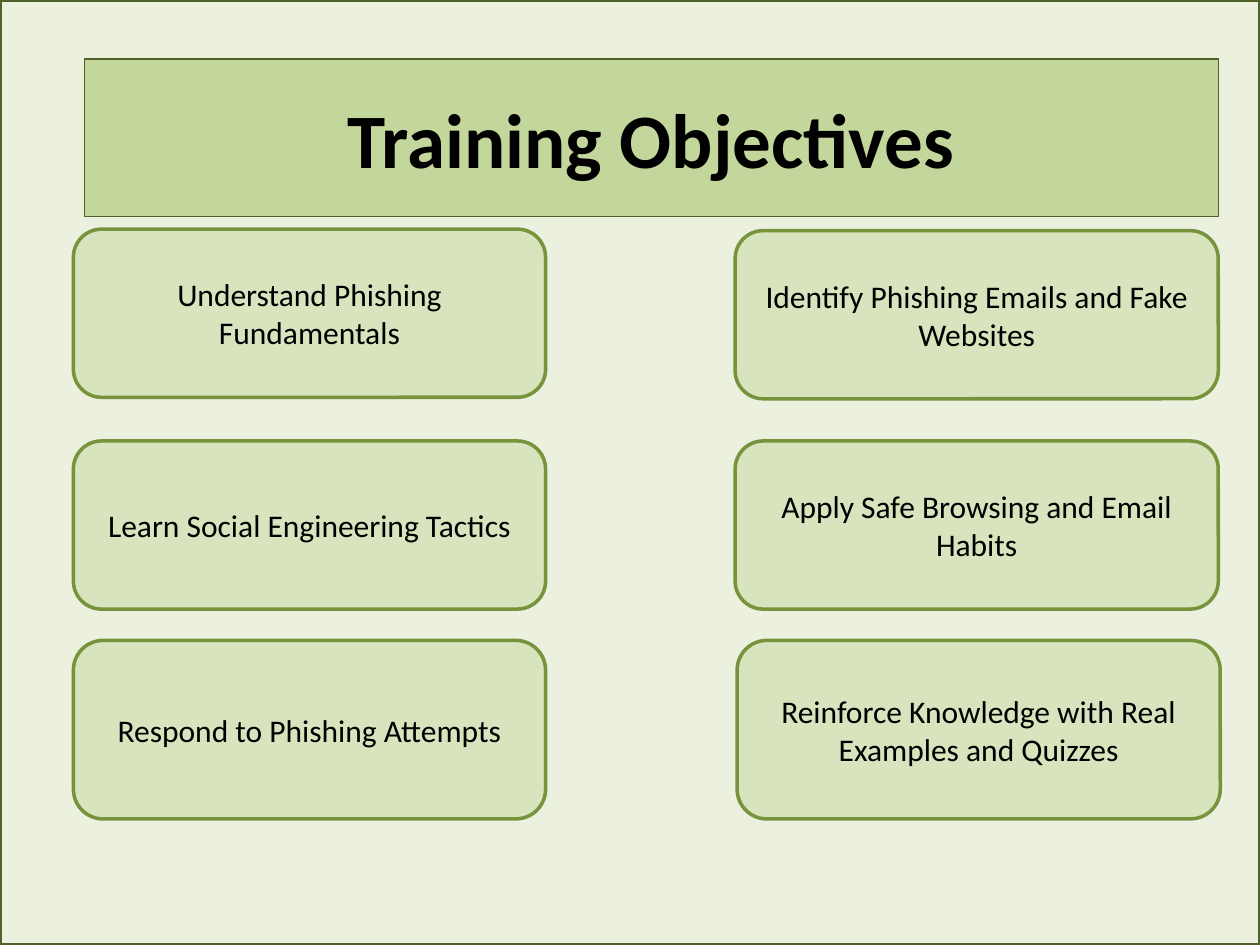
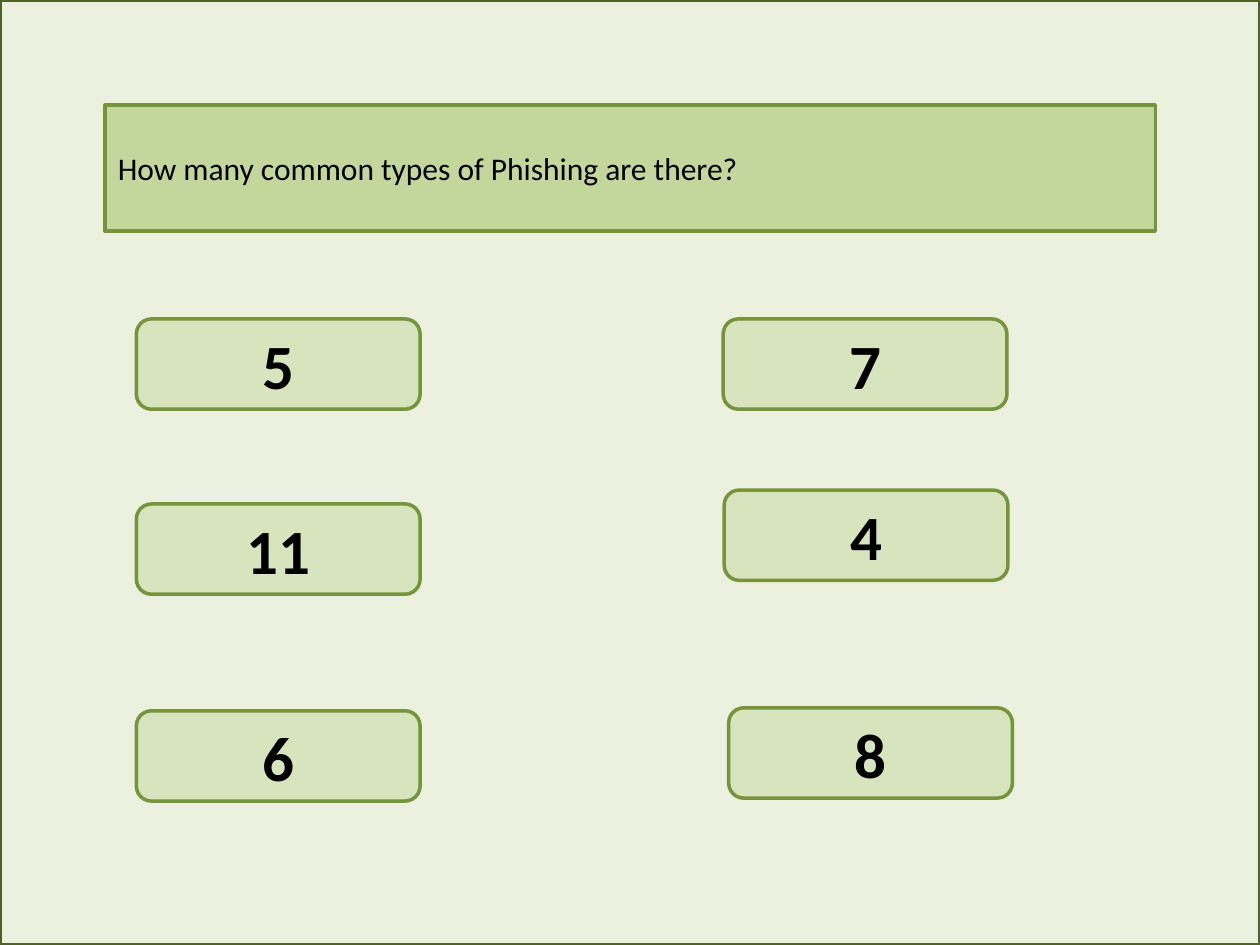
from pptx import Presentation
from pptx.dml.color import RGBColor
from pptx.enum.shapes import MSO_SHAPE
from pptx.enum.text import MSO_ANCHOR, MSO_AUTO_SIZE, PP_ALIGN
from pptx.util import Cm, Pt

FONT = "Calibri"
BLACK = RGBColor(0x00, 0x00, 0x00)
PALE_GREEN = RGBColor(0xEB, 0xF1, 0xDE)
CARD_GREEN = RGBColor(0xD7, 0xE4, 0xBD)
BAND_GREEN = RGBColor(0xC3, 0xD6, 0x9B)
EDGE_GREEN = RGBColor(0x77, 0x93, 0x3C)
DARK_GREEN = RGBColor(0x4F, 0x62, 0x28)

SLIDE_SIZE = (25.4, 19.05)
TITLE_ONLY = 5

# Lengths are in centimetres. Each column has one card width and each row one
# card height; a card is (text, left, top).
SLIDES = [
    {
        "title": "Training Objectives",
        "band": (1.7, 1.19, 22.86, 3.18),
        "band_line": (DARK_GREEN, 0.75),
        "title_style": (44, True, PP_ALIGN.CENTER),
        "card_style": (18, False, PP_ALIGN.CENTER),
        "card_widths": (9.52, 9.74),
        "card_heights": (3.39, 3.39, 3.6),
        "rows": [
            [("Understand Phishing Fundamentals", 1.48, 4.62),
             ("Identify Phishing Emails and Fake Websites", 14.82, 4.65)],
            [("Learn Social Engineering Tactics", 1.48, 8.89),
             ("Apply Safe Browsing and Email Habits", 14.82, 8.89)],
            [("Respond to Phishing Attempts", 1.48, 12.91),
             ("Reinforce Knowledge with Real Examples and Quizzes", 14.86, 12.91)],
        ],
    },
    {
        "title": "How many common types of Phishing are there?",
        "band": (2.12, 2.12, 21.17, 2.54),
        "band_line": (EDGE_GREEN, 2),
        "title_style": (18, False, PP_ALIGN.LEFT),
        "card_style": (36, True, PP_ALIGN.CENTER),
        "card_widths": (5.72, 5.72),
        "card_heights": (1.82, 1.82, 1.82),
        "rows": [
            [("5", 2.75, 6.43), ("7", 14.58, 6.43)],
            [("11", 2.75, 10.16), ("4", 14.6, 9.88)],
            [("6", 2.75, 14.33), ("8", 14.69, 14.27)],
        ],
    },
]


def paint(shape, fill, line_color, line_width):
    shape.fill.solid()
    shape.fill.fore_color.rgb = fill
    shape.line.color.rgb = line_color
    shape.line.width = Pt(line_width)


def write(shape, text, style):
    size, bold, alignment = style
    frame = shape.text_frame
    frame.text = text
    frame.word_wrap = True
    frame.auto_size = MSO_AUTO_SIZE.NONE
    frame.vertical_anchor = MSO_ANCHOR.MIDDLE
    para = frame.paragraphs[0]
    para.alignment = alignment
    for span in para.runs:
        span.font.name = FONT
        span.font.size = Pt(size)
        span.font.bold = bold
        span.font.color.rgb = BLACK


def add_box(page, preset, area, fill, line_color):
    box = page.shapes.add_shape(preset, *(Cm(length) for length in area))
    box.shadow.inherit = False
    paint(box, fill, line_color, 2)
    return box


def add_title_band(page, content):
    title = page.shapes.title
    title.left, title.top, title.width, title.height = (
        Cm(length) for length in content["band"])
    paint(title, BAND_GREEN, *content["band_line"])
    write(title, content["title"], content["title_style"])


def add_backdrop(page):
    """Fill the slide with a framed rectangle that lies behind the title."""
    backdrop = add_box(page, MSO_SHAPE.RECTANGLE, (0, 0, *SLIDE_SIZE),
                       PALE_GREEN, DARK_GREEN)
    page.shapes.title.element.addprevious(backdrop.element)


def add_cards(page, content):
    for row, height in zip(content["rows"], content["card_heights"]):
        for (text, left, top), width in zip(row, content["card_widths"]):
            card = add_box(page, MSO_SHAPE.ROUNDED_RECTANGLE,
                           (left, top, width, height), CARD_GREEN, EDGE_GREEN)
            write(card, text, content["card_style"])


def main():
    deck = Presentation()
    deck.slide_width, deck.slide_height = (Cm(length) for length in SLIDE_SIZE)
    for content in SLIDES:
        page = deck.slides.add_slide(deck.slide_layouts[TITLE_ONLY])
        add_backdrop(page)
        add_title_band(page, content)
        add_cards(page, content)
    deck.save("out.pptx")


if __name__ == "__main__":
    main()
